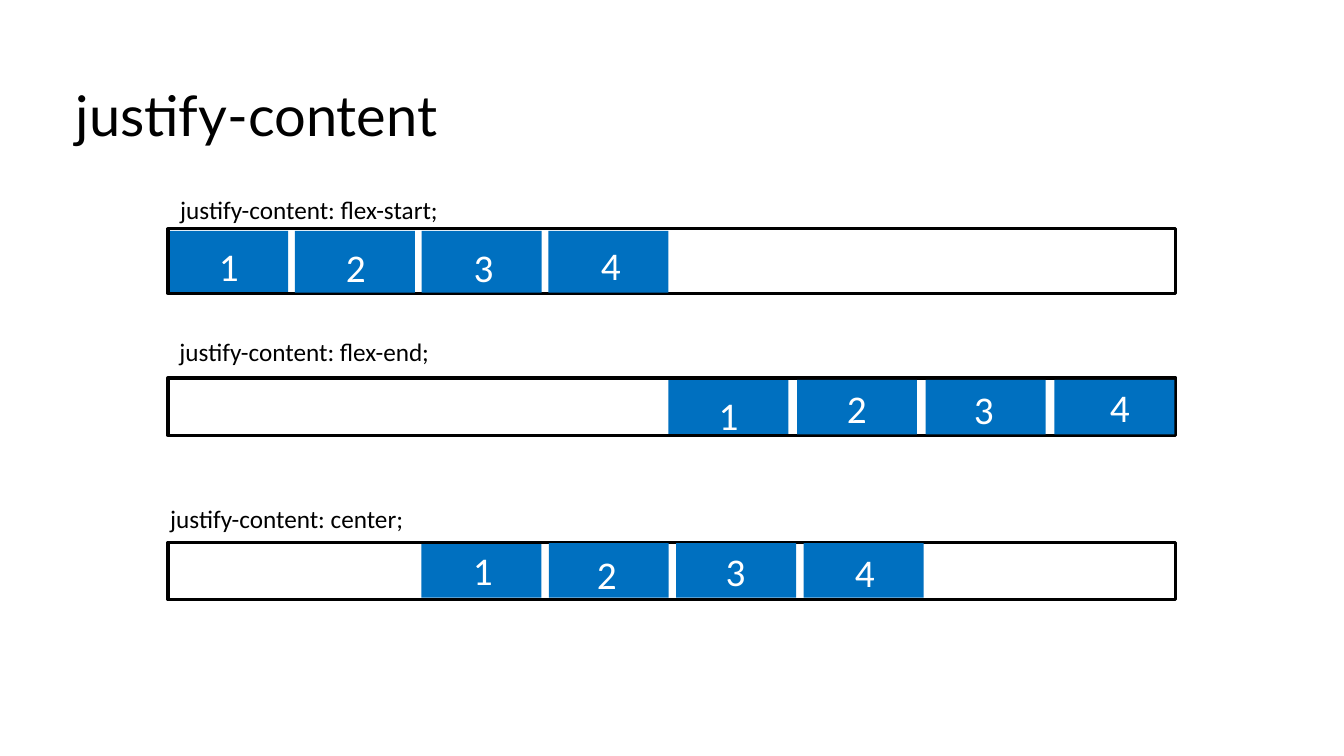
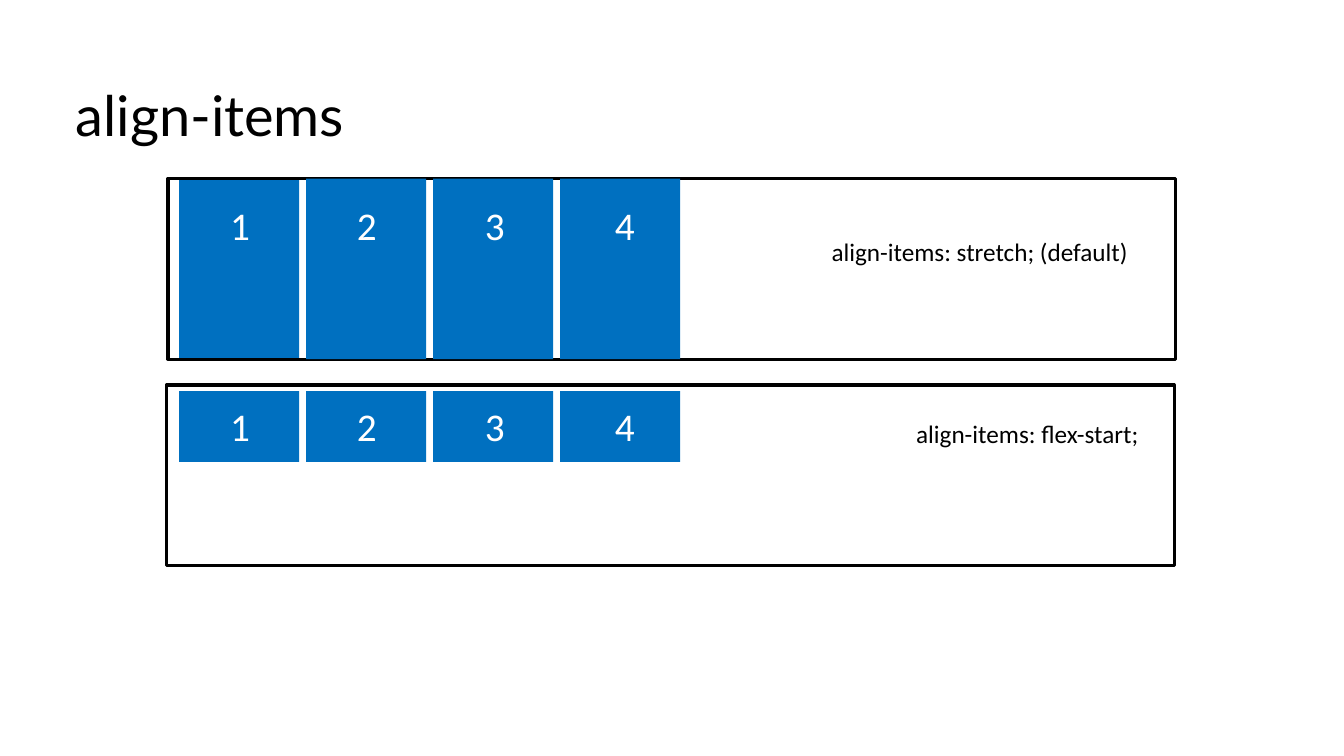
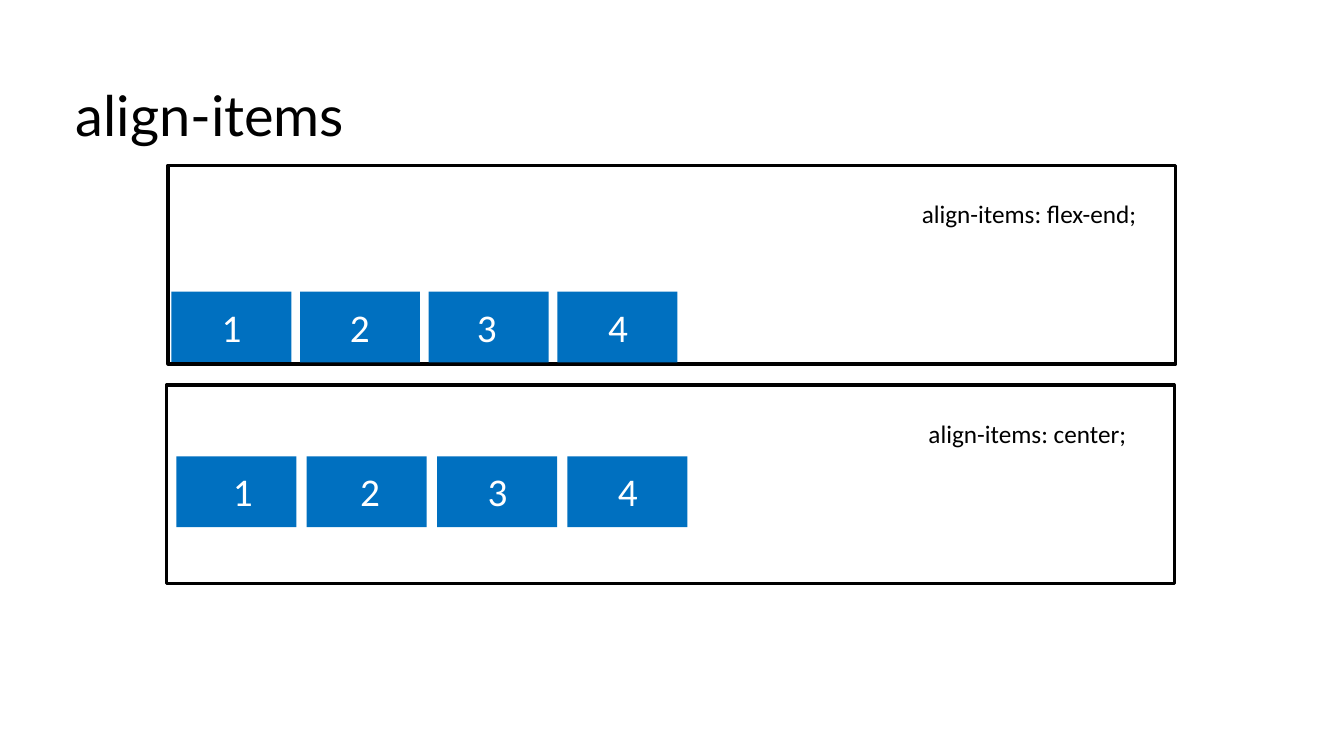
from pptx import Presentation
from pptx.dml.color import RGBColor
from pptx.enum.shapes import MSO_SHAPE
from pptx.enum.text import MSO_ANCHOR, MSO_AUTO_SIZE, PP_ALIGN
from pptx.util import Pt

RECT = MSO_SHAPE.RECTANGLE
TOP = MSO_ANCHOR.TOP
NO_FIT, FIT_SHAPE = MSO_AUTO_SIZE.NONE, MSO_AUTO_SIZE.SHAPE_TO_FIT_TEXT
LEFT, CENTER = PP_ALIGN.LEFT, PP_ALIGN.CENTER

COLORS = {"ink": "000000", "item": "0070C0", "number": "FFFFFF"}
TITLE = {"name": "Lato", "size": Pt(40)}
NUMBER = {"name": "Calibri", "size": Pt(28)}
LABEL = {"name": "Calibri", "size": Pt(18)}
FRAME_W, ITEM_W = 720, 85.7
NUMBER_W, NUMBER_H, LABEL_H = 28.8, 41, 28.8

SLIDES = [
    ("justify-content", [
        {"label": ("justify-content: flex-start;", 120, 135.4, 201.6),
         "frame": (120, 163.5, 46), "items": (120.2, 165, 44), "step": 90.5,
         "number_x": [149, 239.8, 331, 422], "number_y": [169.2, 170, 170, 168.5]},
        {"label": ("justify-content: flex-end;", 119.5, 236.9, 195.8),
         "frame": (120, 270, 41), "items": (477.4, 271.4, 39), "step": 91.9,
         "number_x": [506, 597.6, 688.3, 785.5], "number_y": [275.8, 270.7, 272, 270]},
        {"label": ("justify-content: center;", 113, 355.7, 183.6),
         "frame": (120, 387.4, 41), "items": (301, 388, 39), "step": 91,
         "number_x": [330.5, 419, 511, 603.4], "number_y": [386.6, 389.5, 387.4, 388]},
    ]),
    ("align-items", [
        {"label": ("align-items: stretch; (default)", 581, 165.6, 237.6),
         "frame": (120, 127.5, 129), "items": (128, 127.5, 129), "step": 90.7,
         "number_x": [157, 247.7, 339, 432], "number_y": [140.4] * 4},
        {"label": ("align-items: flex-start;", 646, 295, 175.7),
         "frame": (118.8, 275, 129), "items": (128, 279.4, 50.5), "step": 90.7,
         "number_x": [157, 247.7, 339, 432], "number_y": [284] * 4},
    ]),
    ("align-items", [
        {"label": ("align-items: flex-end;", 650, 138.2, 170),
         "frame": (120, 118, 142), "items": (122.4, 208.4, 50.5), "step": 91.9,
         "number_x": [151, 242.6, 333.4, 427], "number_y": [213] * 4},
        {"label": ("align-items: center;", 655, 295, 157.7),
         "frame": (118.8, 275, 142), "items": (126, 326, 50.5), "step": 93.1,
         "number_x": [159, 250, 341, 434], "number_y": [330.5] * 4},
    ]),
]


def write(tf, text, style, color, align):
    p = tf.paragraphs[0]
    p.alignment = align
    r = p.add_run()
    r.text = text
    for name, value in style.items():
        setattr(r.font, name, value)
    r.font.color.rgb = RGBColor.from_string(COLORS[color])


def add_text(s, text, box, style, color):
    tf = s.shapes.add_textbox(*map(Pt, box)).text_frame
    tf.word_wrap = False
    tf.auto_size = FIT_SHAPE
    write(tf, text, style, color, CENTER)


prs = Presentation()
prs.slide_width, prs.slide_height = Pt(960), Pt(540)

for heading, rows in SLIDES:
    s = prs.slides.add_slide(prs.slide_layouts[5])
    title = s.shapes.title
    title.left, title.top, title.width, title.height = map(Pt, (54, 54, 852, 378))
    tf = title.text_frame
    tf.margin_left = 0
    tf.vertical_anchor = TOP
    tf.auto_size = NO_FIT
    write(tf, heading, TITLE, "ink", LEFT)

    for row in rows:
        x, y, h = row["items"]
        for i, (number_x, number_y) in enumerate(zip(row["number_x"], row["number_y"])):
            item = s.shapes.add_shape(RECT, Pt(x + i * row["step"]), Pt(y), Pt(ITEM_W), Pt(h))
            item.shadow.inherit = False
            item.fill.solid()
            item.fill.fore_color.rgb = RGBColor.from_string(COLORS["item"])
            item.line.fill.background()
            if i == 0:
                frame_x, frame_y, frame_h = row["frame"]
                frame = s.shapes.add_shape(RECT, Pt(frame_x), Pt(frame_y), Pt(FRAME_W), Pt(frame_h))
                frame.shadow.inherit = False
                frame.fill.background()
                frame.line.color.rgb = RGBColor.from_string(COLORS["ink"])
                frame.line.width = Pt(2.25)
            add_text(s, str(i + 1), (number_x, number_y, NUMBER_W, NUMBER_H), NUMBER, "number")
        text, label_x, label_y, label_w = row["label"]
        add_text(s, text, (label_x, label_y, label_w, LABEL_H), LABEL, "ink")

prs.save("out.pptx")
